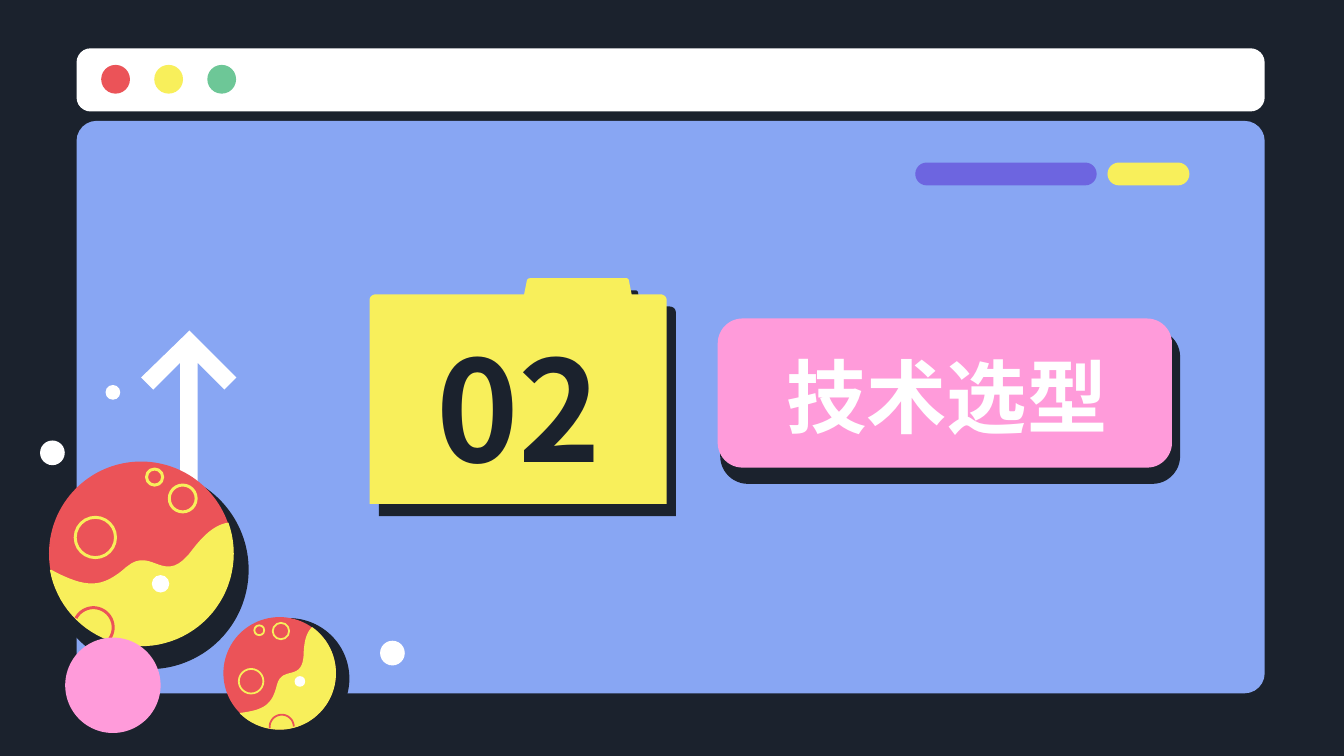
"""Build a section slide: a browser window with a folder, a title card and two planets."""
from dataclasses import dataclass
from math import cos, hypot, radians, sin
from typing import Optional

from lxml.etree import SubElement
from pptx import Presentation
from pptx.dml.color import RGBColor
from pptx.enum.shapes import MSO_SHAPE
from pptx.enum.text import MSO_ANCHOR, PP_ALIGN
from pptx.oxml.ns import qn
from pptx.util import Cm, Pt

NAVY = RGBColor(0x1B, 0x22, 0x2D)
BLUE = RGBColor(0x88, 0xA6, 0xF3)
WHITE = RGBColor(0xFF, 0xFF, 0xFF)
RED = RGBColor(0xEB, 0x53, 0x58)
YELLOW = RGBColor(0xF8, 0xEF, 0x5B)
GREEN = RGBColor(0x6D, 0xC7, 0x97)
PURPLE = RGBColor(0x6D, 0x65, 0xE0)
PINK = RGBColor(0xFF, 0x9B, 0xDA)
FONT = "Noto Sans CJK SC"
Point = tuple[float, float]


@dataclass
class Panel:
    """A rounded rectangle, in inches."""
    x: float
    y: float
    w: float
    h: float
    radius: float
    color: RGBColor
    border: float = 0


@dataclass
class Dot:
    """A filled circle given by its centre and radius, in inches."""
    x: float
    y: float
    r: float
    color: RGBColor = WHITE


@dataclass
class Planet:
    """A two-coloured planet with a shadow, scaled and turned about its centre."""
    x: float
    y: float
    scale: float
    turn: float
    shadow: Dot

    def place(self, p: Point) -> Point:
        """Map a point relative to the planet's centre onto the slide."""
        c, s = cos(radians(self.turn)), sin(radians(self.turn))
        return (self.x + self.scale * (p[0] * c - p[1] * s),
                self.y + self.scale * (p[0] * s + p[1] * c))


@dataclass
class Label:
    """A centred bold text, in inches and points."""
    text: str
    x: float
    y: float
    w: float
    h: float
    size: int
    color: RGBColor


PANELS = [
    Panel(0.57, 0.9, 8.84, 4.26, 0.035, BLUE),
    Panel(0.57, 0.36, 8.84, 0.47, 0.223, WHITE),
    Panel(6.81, 1.21, 1.35, 0.17, 0.5, PURPLE),
    Panel(8.24, 1.21, 0.61, 0.17, 0.5, YELLOW),
    Panel(5.38, 2.47, 3.38, 1.11, 0.167, NAVY, 3),
    Panel(5.34, 2.37, 3.38, 1.11, 0.167, PINK),
]
BUTTONS = [Dot(0.86 + 0.395 * i, 0.59, 0.107, c) for i, c in enumerate((RED, YELLOW, GREEN))]
STARS = [Dot(0.39, 3.37, 0.092), Dot(2.92, 4.86, 0.092), Dot(0.84, 2.92, 0.055)]
ARROW = [(1.34, 4.29), (1.34, 2.7), (1.14, 2.9), (1.05, 2.81), (1.41, 2.46),
         (1.76, 2.81), (1.67, 2.9), (1.47, 2.7), (1.47, 4.29)]
FOLDER = [(4.96, 2.23), (4.96, 3.75), (2.75, 3.75), (2.75, 2.23),
          (2.75, 2.21, 2.77, 2.19, 2.8, 2.19), (3.9, 2.19), (3.92, 2.09),
          (3.92, 2.08, 3.93, 2.07, 3.95, 2.07), (4.66, 2.07),
          (4.67, 2.07, 4.68, 2.08, 4.68, 2.09), (4.7, 2.19), (4.91, 2.19),
          (4.94, 2.19, 4.96, 2.21, 4.96, 2.23)]
WAVE = [(-0.67, 0.12), (-0.41, 0.26, -0.29, 0.26, -0.11, 0.1),
        (0.09, -0.07, 0.17, 0.27, 0.39, -0.04), (0.5, -0.18, 0.58, -0.22, 0.65, -0.23)]
CRATERS = [(0.31, -0.41, 0.1), (-0.34, -0.12, 0.15), (0.1, -0.57, 0.06)]
BIG = Planet(1.05, 4.12, 1, 0, Dot(1.11, 4.24, 0.74, NAVY))
SMALL = Planet(2.08, 5.01, 0.61, -35.2, Dot(2.15, 5.05, 0.45, NAVY))
LABELS = [Label("02", 3.01, 2.53, 1.7, 0.99, 75, NAVY),
          Label("技术选型", 5.45, 2.48, 3.19, 0.92, 43, WHITE)]


def inch(v: float) -> Cm:
    """Convert inches to a Cm length."""
    return Cm(v * 2.54)


def curve(steps: list[tuple[float, ...]], n: int = 16) -> list[Point]:
    """Flatten points and cubic Bézier steps into a list of points."""
    pts = [steps[0]]
    for step in steps[1:]:
        if len(step) == 2:
            pts.append(step)
            continue
        ctrl = [pts[-1], step[:2], step[2:4], step[4:]]
        for t in (i / n for i in range(1, n + 1)):
            weights = ((1 - t) ** 3, 3 * t * (1 - t) ** 2, 3 * t * t * (1 - t), t ** 3)
            pts.append(tuple(sum(k * c[axis] for k, c in zip(weights, ctrl)) for axis in (0, 1)))
    return pts


def arc(x: float, y: float, r: float, start: float, end: float, n: int = 48) -> list[Point]:
    """Return points along a circular arc, with angles in degrees."""
    angles = [radians(start + (end - start) * i / n) for i in range(n + 1)]
    return [(x + r * cos(a), y + r * sin(a)) for a in angles]


def paint(s, fill: Optional[RGBColor], line: Optional[RGBColor] = None, width: float = 0):
    """Set fill and line of a shape and drop its shadow."""
    s.shadow.inherit = False
    if fill is None:
        s.fill.background()
    else:
        s.fill.solid()
        s.fill.fore_color.rgb = fill
    if line is None:
        s.line.fill.background()
    else:
        s.line.color.rgb = line
        s.line.width = Pt(width)
    return s


def add_panel(shapes, p: Panel) -> None:
    """Draw a rounded rectangle."""
    s = shapes.add_shape(MSO_SHAPE.ROUNDED_RECTANGLE, *map(inch, (p.x, p.y, p.w, p.h)))
    s.adjustments[0] = p.radius
    paint(s, p.color, p.color if p.border else None, p.border)


def add_circle(shapes, x: float, y: float, r: float):
    """Add a circle around a centre."""
    return shapes.add_shape(MSO_SHAPE.OVAL, *map(inch, (x - r, y - r, 2 * r, 2 * r)))


def add_dot(shapes, d: Dot) -> None:
    """Draw a filled circle."""
    paint(add_circle(shapes, d.x, d.y, d.r), d.color)


def add_outline(shapes, pts: list[Point], close: bool = True):
    """Add a freeform through the given points."""
    (x, y), *rest = [(inch(a), inch(b)) for a, b in pts]
    builder = shapes.build_freeform(x, y)
    builder.add_line_segments(rest, close=close)
    return builder.convert_to_shape()


def add_folder(shapes) -> None:
    """Draw the folder with its hard drop shadow."""
    s = paint(add_outline(shapes, curve(FOLDER)), YELLOW)
    effects = s._element.spPr.find(qn("a:effectLst"))
    shadow = SubElement(effects, qn("a:outerShdw"), dist=str(Pt(8.2)), dir=str(53 * 60000),
                        algn="bl", rotWithShape="0")
    SubElement(shadow, qn("a:srgbClr"), val=str(NAVY))


def add_planet(shapes, p: Planet) -> None:
    """Draw a planet: shadow, body, craters, wavy half and highlight."""
    add_dot(shapes, p.shadow)
    add_dot(shapes, Dot(p.x, p.y, 0.685 * p.scale, RED))
    width = 1.6 * p.scale
    for x, y, r in CRATERS:
        paint(add_circle(shapes, *p.place((x, y)), r * p.scale), None, YELLOW, width)
    half = curve(WAVE) + arc(0, 0, hypot(0.65, 0.23), -19.5, 169.8)
    paint(add_outline(shapes, [p.place(q) for q in half]), YELLOW)
    crater = arc(-0.355, 0.55, 0.147, -152, 34)
    paint(add_outline(shapes, [p.place(q) for q in crater], close=False), None, RED, width)
    add_dot(shapes, Dot(*p.place((0.145, 0.225)), 0.065 * p.scale))


def add_label(shapes, label: Label) -> None:
    """Draw a centred bold text."""
    tf = shapes.add_textbox(*map(inch, (label.x, label.y, label.w, label.h))).text_frame
    tf.word_wrap = True
    tf.vertical_anchor = MSO_ANCHOR.MIDDLE
    tf.margin_left = tf.margin_right = tf.margin_top = tf.margin_bottom = inch(0.1)
    tf.text = label.text
    p = tf.paragraphs[0]
    p.alignment = PP_ALIGN.CENTER
    f = p.runs[0].font
    f.name, f.size, f.bold = FONT, Pt(label.size), True
    f.color.rgb = label.color
    SubElement(f._element, qn("a:ea"), typeface=FONT)


def main() -> None:
    """Build and save the slide."""
    prs = Presentation()
    prs.slide_width, prs.slide_height = Cm(25.4), Cm(14.29)
    slide = prs.slides.add_slide(prs.slide_layouts[6])
    slide.background.fill.solid()
    slide.background.fill.fore_color.rgb = NAVY
    shapes = slide.shapes
    for panel in PANELS:
        add_panel(shapes, panel)
    for dot in BUTTONS + STARS:
        add_dot(shapes, dot)
    paint(add_outline(shapes, ARROW), WHITE)
    add_folder(shapes)
    for label in LABELS:
        add_label(shapes, label)
    add_planet(shapes, BIG)
    add_dot(shapes, Dot(0.84, 5.1, 0.355, PINK))
    add_planet(shapes, SMALL)
    prs.save("out.pptx")


if __name__ == "__main__":
    main()
